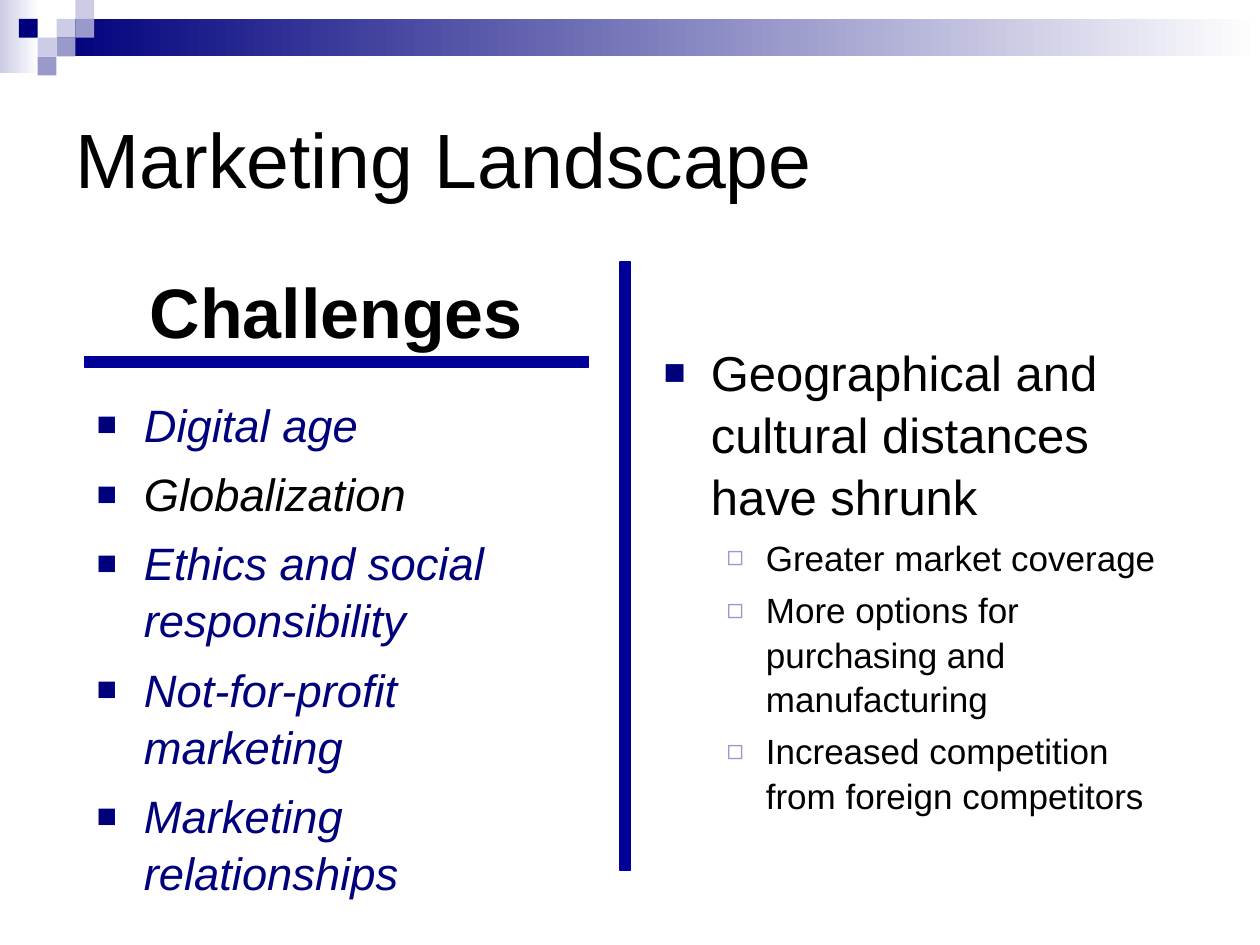
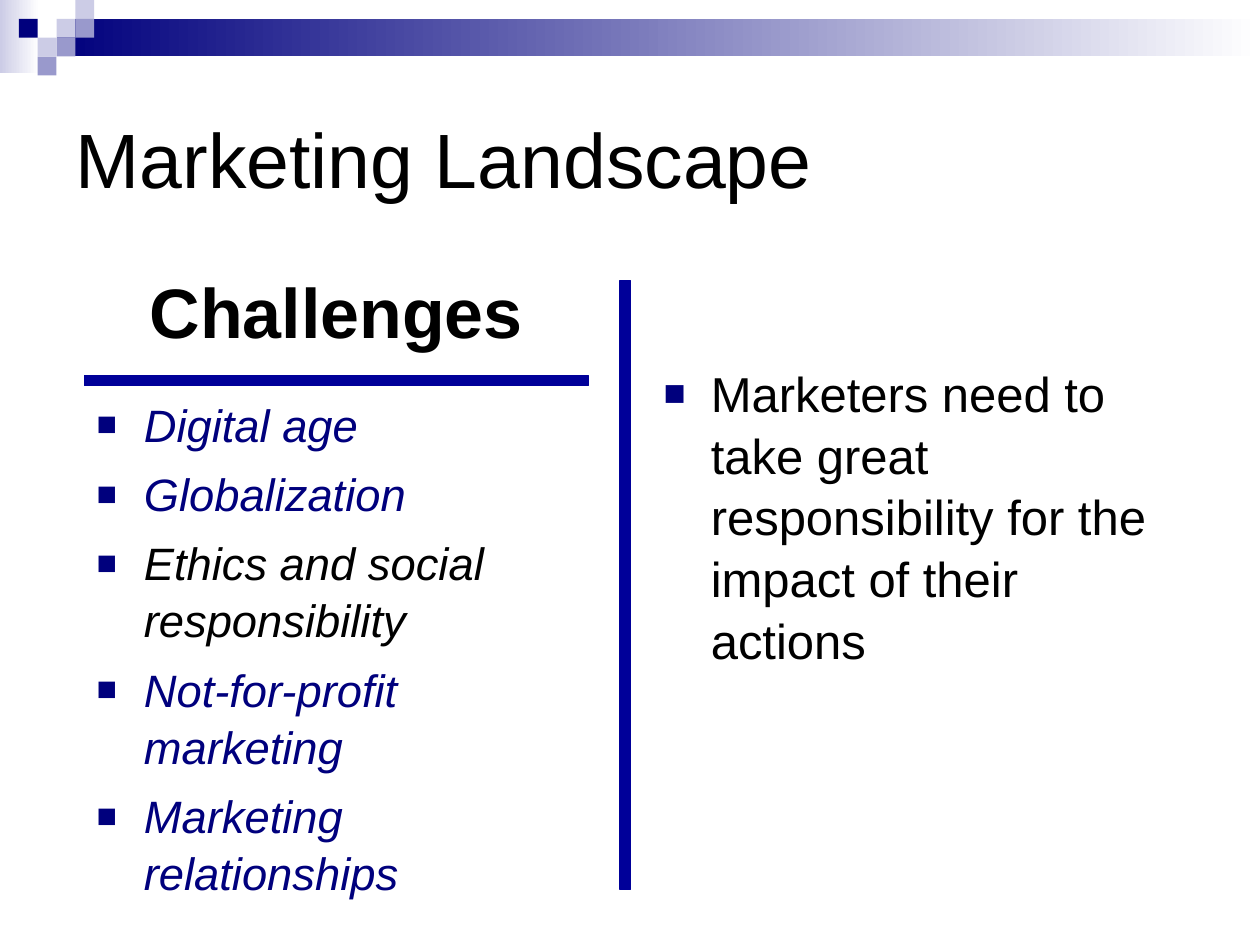
from dataclasses import dataclass

from lxml import etree
from pptx import Presentation
from pptx import util as u
from pptx.dml.color import RGBColor
from pptx.enum import shapes, text
from pptx.oxml import ns


@dataclass(frozen=True)
class Theme:
    font: str = "Arial"
    ink: str = "000000"
    paper: str = "FFFFFF"
    navy: str = "00007D"
    rule: str = "000099"
    lilac: str = "9999CC"
    pale: str = "CCCCE6"
    title_size: float = 44
    heading_size: float = 40
    topic_size: float = 25.9
    point_size: float = 28
    detail_size: float = 20
    line_spacing: float = 1.05


@dataclass(frozen=True)
class Bullet:
    character: str
    color: str
    percent: int
    left: float
    hanging: float
    space_before: float


THEME = Theme()
SQUARE = Bullet("■", THEME.navy, 75, 0.95, 0.95, 7)
HOLLOW = Bullet("◻", THEME.lilac, 80, 2.06, 0.79, 5)

SLIDE_WIDTH, SLIDE_HEIGHT = 25.4, 19.05
COLUMN_LEFT, COLUMN_WIDTH = 1.7, 10.16
HEADING_TOP = 5.28
LIST_BOTTOM = 17.78
RULE_THICKNESS = 0.21
TILE = 0.38

# Column and row of each small square in the banner
TILES = [
    (3, 1, THEME.pale), (4, 0, THEME.pale), (4, 1, THEME.lilac),
    (2, 2, THEME.pale), (1, 1, THEME.navy), (3, 2, THEME.lilac),
    (2, 3, THEME.lilac),
]

TOPICS = [
    "Digital age",
    "Globalization",
    "Ethics and social responsibility",
    "Not-for-profit marketing",
    "Marketing relationships",
]


class Deck:
    def __init__(self, theme):
        self.theme = theme
        self.presentation = Presentation()
        self.presentation.slide_width = u.Cm(SLIDE_WIDTH)
        self.presentation.slide_height = u.Cm(SLIDE_HEIGHT)
        self.layout = self.presentation.slide_layouts.get_by_name("Title Only")
        self.slide = None

    def start_slide(self, title):
        self.slide = self.presentation.slides.add_slide(self.layout)
        shape = self.slide.shapes.title
        shape.left, shape.top = u.Cm(1.27), u.Cm(1.27)
        shape.width, shape.height = u.Cm(22.86), u.Cm(3.81)
        frame = shape.text_frame
        frame.vertical_anchor = text.MSO_ANCHOR.MIDDLE
        frame.auto_size = text.MSO_AUTO_SIZE.NONE
        paragraph = frame.paragraphs[0]
        paragraph.alignment = text.PP_ALIGN.LEFT
        self.run(paragraph, title, self.theme.title_size)

    def run(self, paragraph, words, size, color=None, bold=False, italic=False):
        run = paragraph.add_run()
        run.text = words
        font = run.font
        font.name, font.size = self.theme.font, u.Pt(size)
        font.bold, font.italic = bold, italic
        font.color.rgb = RGBColor.from_string(color or self.theme.ink)

    def rectangle(self, left, top, width, height, color, fade=False, outline=False):
        """Draw a filled rectangle; fade runs from color to paper, left to right."""
        shape = self.slide.shapes.add_shape(
            shapes.MSO_SHAPE.RECTANGLE,
            u.Cm(left), u.Cm(top), u.Cm(width), u.Cm(height))
        shape.shadow.inherit = False
        if fade:
            shape.fill.gradient()
            shape.fill.gradient_angle = 0
            stops = zip(shape.fill.gradient_stops, (color, self.theme.paper))
            for position, (stop, stop_color) in enumerate(stops):
                stop.position = position
                stop.color.rgb = RGBColor.from_string(stop_color)
        else:
            shape.fill.solid()
            shape.fill.fore_color.rgb = RGBColor.from_string(color)
        if outline:
            shape.line.color.rgb = RGBColor.from_string(color)
            shape.line.width = u.Pt(0.75)
        else:
            shape.line.fill.background()
        return shape

    def banner(self):
        """Draw the top band and move it to the layout that all slides share."""
        band_left = 3 * TILE
        pieces = [
            self.rectangle(0, 0, 0.79, 1.47, self.theme.pale, fade=True),
            self.rectangle(band_left, TILE, SLIDE_WIDTH - band_left, 2 * TILE,
                           self.theme.navy, fade=True),
        ]
        pieces += [self.rectangle(column * TILE, row * TILE, TILE, TILE, color)
                   for column, row, color in TILES]
        title = self.layout.placeholders[0].element
        for piece in pieces:
            title.addprevious(piece.element)

    def text_frame(self, left, top, width, height):
        box = self.slide.shapes.add_textbox(
            u.Cm(left), u.Cm(top), u.Cm(width), u.Cm(height))
        box.text_frame.word_wrap = True
        return box.text_frame

    def heading(self, words):
        frame = self.text_frame(COLUMN_LEFT, HEADING_TOP, COLUMN_WIDTH, 1.78)
        paragraph = frame.paragraphs[0]
        paragraph.alignment = text.PP_ALIGN.CENTER
        self.run(paragraph, words, self.theme.heading_size, bold=True)

    def list_item(self, frame, bullet):
        """Return the next bulleted paragraph of the frame, ready for runs."""
        paragraph = frame.paragraphs[0]
        first = not paragraph.runs
        if not first:
            paragraph = frame.add_paragraph()
        properties = paragraph._p.get_or_add_pPr()
        properties.set("marL", str(u.Cm(bullet.left)))
        properties.set("indent", str(-u.Cm(bullet.hanging)))
        color = etree.SubElement(properties, ns.qn("a:buClr"))
        etree.SubElement(color, ns.qn("a:srgbClr"), val=bullet.color)
        etree.SubElement(properties, ns.qn("a:buSzPct"), val=str(bullet.percent * 1000))
        etree.SubElement(properties, ns.qn("a:buFont"), typeface=self.theme.font)
        etree.SubElement(properties, ns.qn("a:buChar"), char=bullet.character)
        paragraph.line_spacing = self.theme.line_spacing
        paragraph.space_before = u.Pt(0 if first else bullet.space_before)
        return paragraph

    def topics(self, current):
        top = 7.82
        frame = self.text_frame(COLUMN_LEFT, top, 10.59, LIST_BOTTOM - top)
        for topic in TOPICS:
            color = self.theme.ink if topic == current else self.theme.navy
            self.run(self.list_item(frame, SQUARE), topic,
                     self.theme.topic_size, color, italic=True)

    def points(self, top, point, details):
        frame = self.text_frame(13.13, top, 10.9, LIST_BOTTOM - top)
        self.run(self.list_item(frame, SQUARE), point, self.theme.point_size)
        for detail in details:
            paragraph = self.list_item(frame, HOLLOW)
            paragraph.level = 1
            self.run(paragraph, detail, self.theme.detail_size)

    def dividers(self, top):
        self.rectangle(12.5, top, RULE_THICKNESS, 12.27, self.theme.rule, outline=True)
        self.rectangle(COLUMN_LEFT, top + 1.91, COLUMN_WIDTH, RULE_THICKNESS,
                       self.theme.rule, outline=True)

    def challenge_slide(self, current, point, details, points_top, dividers_top):
        self.start_slide("Marketing Landscape")
        self.topics(current)
        self.points(points_top, point, details)
        self.heading("Challenges")
        self.dividers(dividers_top)


def main():
    deck = Deck(THEME)
    deck.challenge_slide(
        "Globalization",
        "Geographical and cultural distances have shrunk",
        ["Greater market coverage",
         "More options for purchasing and manufacturing",
         "Increased competition from foreign competitors"],
        points_top=6.73, dividers_top=HEADING_TOP)
    deck.challenge_slide(
        "Ethics and social responsibility",
        "Marketers need to take great responsibility for the impact of their actions",
        [], points_top=7.14, dividers_top=5.66)
    deck.banner()
    deck.presentation.save("out.pptx")


if __name__ == "__main__":
    main()
